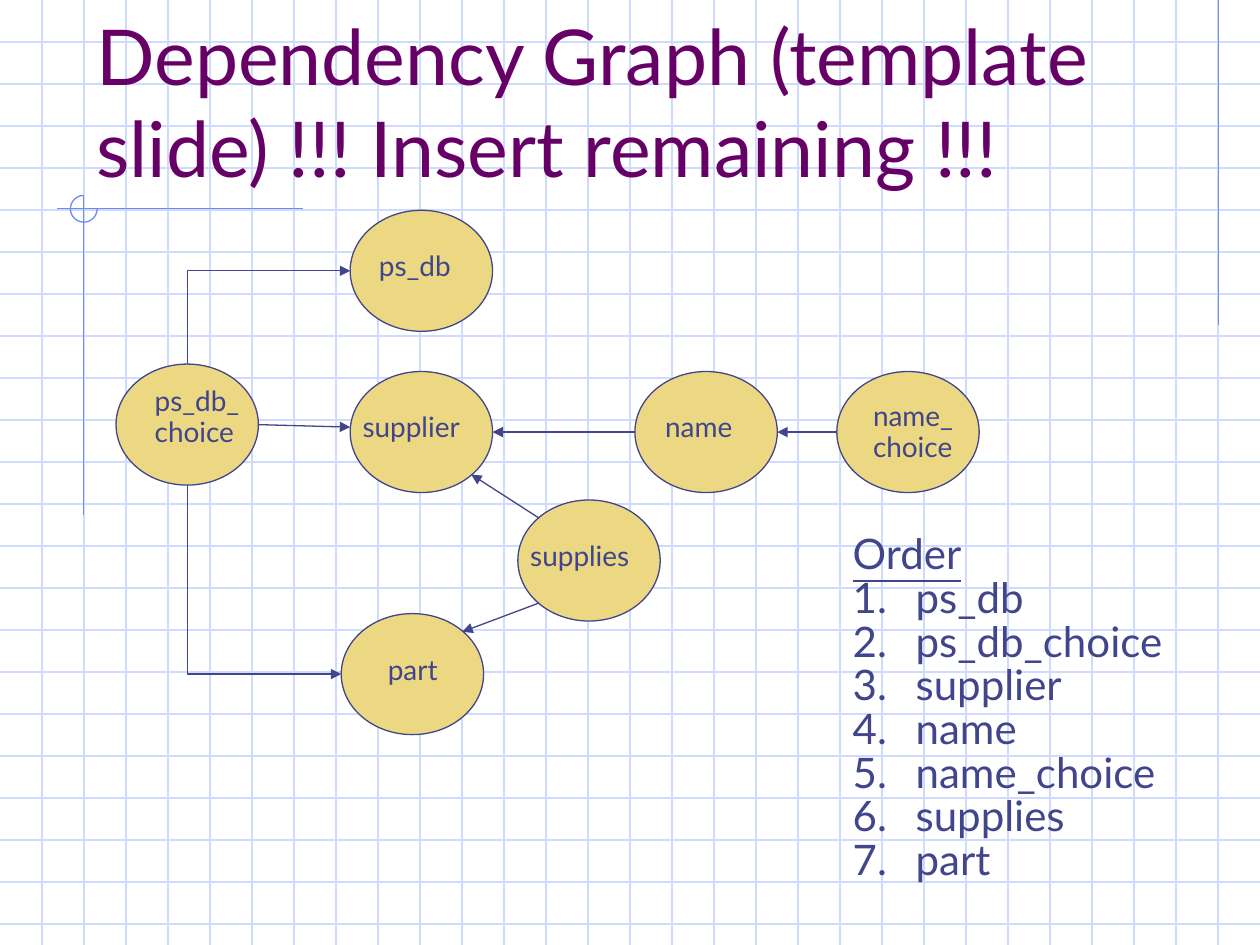
from lxml import etree
from pptx import Presentation
from pptx.dml.color import RGBColor
from pptx.enum.shapes import MSO_CONNECTOR, MSO_SHAPE, MSO_SHAPE_TYPE
from pptx.enum.text import MSO_ANCHOR, MSO_AUTO_SIZE, PP_ALIGN
from pptx.oxml.ns import qn
from pptx.util import Cm, Pt

STRAIGHT, ELBOW = MSO_CONNECTOR.STRAIGHT, MSO_CONNECTOR.ELBOW
OVAL, ARC = MSO_SHAPE.OVAL, MSO_SHAPE.ARC
AUTO_SHAPE = MSO_SHAPE_TYPE.AUTO_SHAPE
NO_FIT, GROW = MSO_AUTO_SIZE.NONE, MSO_AUTO_SIZE.SHAPE_TO_FIT_TEXT

FONT = "Lato"
COLORS = {"grid": "CFDBFD", "accent": "6F89F7", "title": "660066",
          "ink": "40458C", "node": "ECD882"}
WIDTH, HEIGHT = 25.4, 19.05
GRID = WIDTH / 30
NODE_W, NODE_H = 2.87, 2.44

# Connection sites as fractions of width and height, in preset order
NEAR, FAR = 0.15, 0.85
OVAL_SITES = [(0.5, 0), (NEAR, NEAR), (0, 0.5), (NEAR, FAR),
              (0.5, 1), (FAR, FAR), (1, 0.5), (FAR, NEAR)]
BOX_SITES = [(0.5, 0), (0, 0.5), (0.5, 1), (1, 0.5)]
TOP, TOP_LEFT, LEFT, BOTTOM, BOTTOM_RIGHT, RIGHT, TOP_RIGHT = 0, 1, 2, 4, 5, 6, 7
BOTTOM_LEFT, BOX_LEFT = 3, 1

# name: left, top, label lines, label offset x, offset y, label width
NODES = {
    "part": (6.88, 12.37, ["part"], 0.69, 0.65, 1.85),
    "supplier": (7.06, 7.49, ["supplier"], 0, 0.65, 2.87),
    "name": (12.8, 7.49, ["name"], 0.36, 0.65, 2.18),
    "supplies": (10.44, 10.08, ["supplies"], 0, 0.65, 2.87),
    "ps_db": (7.06, 4.24, ["ps_db"], 0.33, 0.65, 2.36),
    "name_choice": (16.87, 7.49, ["name_", "choice"], 0.48, 0.77, 2.29),
    "ps_db_choice": (2.34, 7.34, ["ps_db_", "choice"], 0.53, 0.61, 2.62),
}
ORDER = ["ps_db", "ps_db_choice", "supplier", "name", "name_choice",
         "supplies", "part"]


def rgb(key):
    return RGBColor.from_string(COLORS[key])


def add_line(s, x1, y1, x2, y2, color, kind=STRAIGHT):
    line = s.shapes.add_connector(kind, x1, y1, x2, y2)
    line.line.color.rgb = rgb(color)
    line.line.width = Pt(0.75)
    etree.SubElement(line._element.spPr, qn("a:effectLst"))
    return line


def add_text(tf, text, first=False, size=16, color="ink", underline=None,
             spacing=None, before=0):
    p = tf.paragraphs[0] if first else tf.add_paragraph()
    p.alignment = PP_ALIGN.LEFT
    p.line_spacing = spacing
    p.space_before = Pt(0 if first else before)
    r = p.add_run()
    r.text = text
    r.font.name, r.font.size = FONT, Pt(size)
    r.font.underline = underline
    r.font.color.rgb = rgb(color)
    return p


def add_box(s, x, y, w, h):
    box = s.shapes.add_textbox(Cm(x), Cm(y), Cm(w), Cm(h))
    box.text_frame.word_wrap = True
    box.text_frame.auto_size = GROW
    return box


def add_node(s, x, y, lines, dx, dy, w):
    oval = s.shapes.add_shape(OVAL, Cm(x), Cm(y), Cm(NODE_W), Cm(NODE_H))
    oval.shadow.inherit = False
    oval.fill.solid()
    oval.fill.fore_color.rgb = rgb("node")
    oval.line.color.rgb = rgb("ink")
    oval.line.width = Pt(0.75)
    stacked = len(lines) > 1
    label = add_box(s, x + dx, y + dy, w, 1.17 if stacked else 0.94)
    for i, text in enumerate(lines):
        add_text(label.text_frame, text, first=i == 0,
                 spacing=0.4 if stacked else None, before=10)
    return oval, label


def site_point(shape, site):
    sites = OVAL_SITES if shape.shape_type == AUTO_SHAPE else BOX_SITES
    fx, fy = sites[site]
    return (int(shape.left + fx * shape.width),
            int(shape.top + fy * shape.height))


def add_link(s, start, start_site, end, end_site, kind=STRAIGHT, arrow="tailEnd"):
    """Join two shapes at their connection sites, with one arrowhead."""
    link = add_line(s, *site_point(start, start_site),
                    *site_point(end, end_site), "ink", kind)
    ends = link._element.nvCxnSpPr.cNvCxnSpPr
    for tag, shape, site in (("a:stCxn", start, start_site),
                             ("a:endCxn", end, end_site)):
        etree.SubElement(ends, qn(tag), id=str(shape.shape_id), idx=str(site))
    ln = link._element.spPr.find(qn("a:ln"))
    etree.SubElement(ln, qn("a:" + arrow), type="triangle")
    return link


def add_elbow(s, target, source, source_site):
    """One-corner link, drawn from its arrowhead back to the source."""
    link = add_link(s, target, LEFT, source, source_site, ELBOW, "headEnd")
    link._element.spPr.find(qn("a:prstGeom")).set("prst", "bentConnector2")


def add_background(s):
    for i in range(1, 23):
        add_line(s, 0, Cm(i * GRID), Cm(WIDTH), Cm(i * GRID), "grid")
    for i in range(1, 30):
        add_line(s, Cm(i * GRID), 0, Cm(i * GRID), Cm(HEIGHT), "grid")
    for ends in ((24.56, 0, 24.56, 6.55), (6.1, 4.21, 1.14, 4.21),
                 (1.69, 3.94, 1.69, 10.39)):
        add_line(s, *map(Cm, ends), "accent")
    # Three-quarter circle where the accent lines cross
    arc = s.shapes.add_shape(ARC, Cm(1.42), Cm(3.94), Cm(0.54), Cm(0.54))
    arc.adjustments[0], arc.adjustments[1] = 0, 162
    arc.shadow.inherit = False
    arc.fill.background()
    arc.line.color.rgb = rgb("accent")
    arc.line.width = Pt(0.75)


def add_title(s, text):
    title = s.shapes.title
    title.left, title.top = Cm(1.69), Cm(0.84)
    title.width, title.height = Cm(21.59), Cm(3.18)
    tf = title.text_frame
    tf.word_wrap, tf.auto_size = True, NO_FIT
    tf.vertical_anchor = MSO_ANCHOR.BOTTOM
    add_text(tf, text, first=True, size=44, color="title")
    title._element.getparent().append(title._element)  # above the grid


def add_order_list(s):
    tf = add_box(s, 16.94, 11, 8.05, 6.88).text_frame
    add_text(tf, "Order", first=True, size=24, underline=True, spacing=0.45)
    for text in ORDER:
        p = add_text(tf, text, size=24, spacing=0.45, before=12)
        pPr = p._p.get_or_add_pPr()
        pPr.set("marL", str(Cm(1.27)))
        pPr.set("indent", str(-Cm(1.27)))
        clr = etree.SubElement(pPr, qn("a:buClr"))
        etree.SubElement(clr, qn("a:srgbClr"), val=COLORS["ink"])
        etree.SubElement(pPr, qn("a:buFont"), typeface=FONT)
        etree.SubElement(pPr, qn("a:buAutoNum"), type="arabicPeriod")


def main():
    prs = Presentation()
    prs.slide_width, prs.slide_height = Cm(WIDTH), Cm(HEIGHT)
    s = prs.slides.add_slide(prs.slide_layouts[5])
    add_background(s)
    add_title(s, "Dependency Graph (template slide) !!! Insert remaining !!!")

    # Graph nodes
    ovals, labels = {}, {}
    for name, node in NODES.items():
        ovals[name], labels[name] = add_node(s, *node)

    # Dependencies
    for start, start_site, end, end_site in (
            ("supplies", BOTTOM_LEFT, "part", TOP_RIGHT),
            ("supplies", TOP_LEFT, "supplier", BOTTOM_RIGHT),
            ("name_choice", LEFT, "name", RIGHT),
            ("name", LEFT, "supplier", RIGHT)):
        add_link(s, ovals[start], start_site, ovals[end], end_site)
    choice = ovals["ps_db_choice"]
    add_link(s, choice, RIGHT, labels["supplier"], BOX_LEFT)
    add_elbow(s, ovals["part"], choice, BOTTOM)
    add_elbow(s, ovals["ps_db"], choice, TOP)

    add_order_list(s)
    prs.save("out.pptx")


if __name__ == "__main__":
    main()
